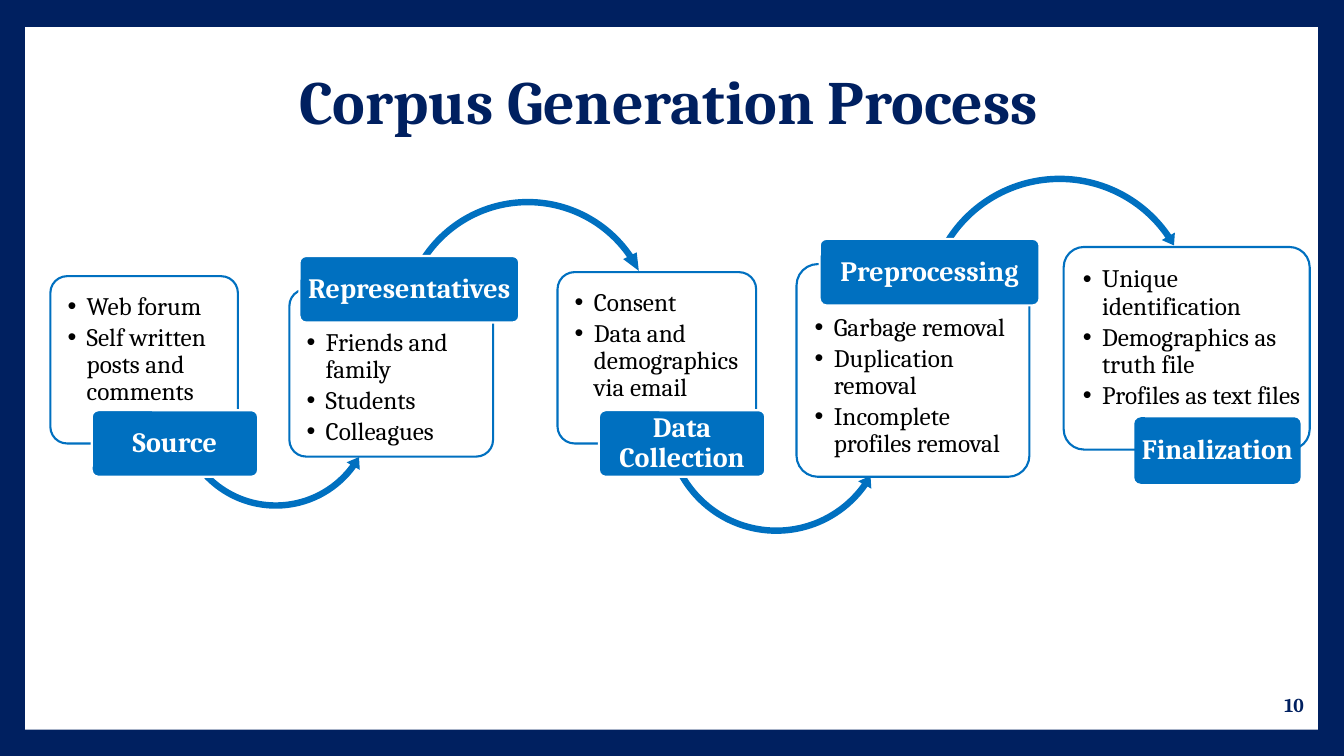
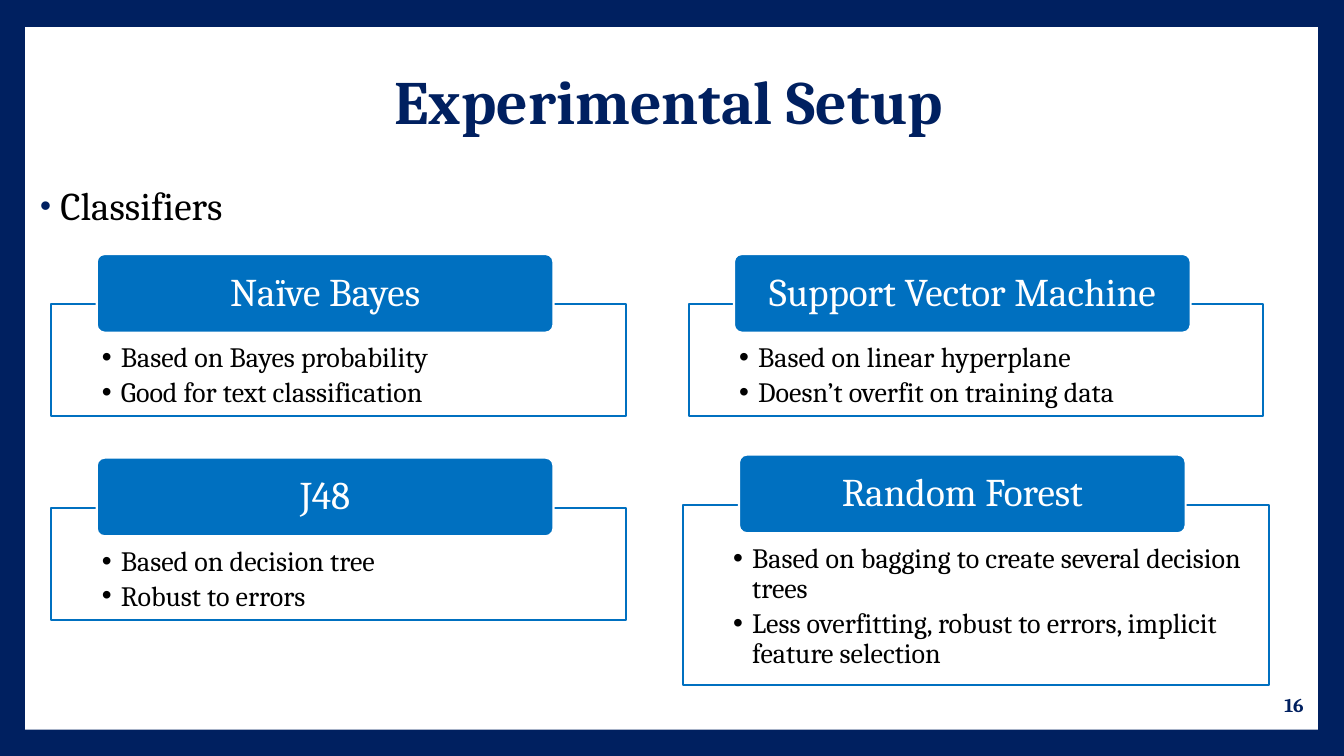
from dataclasses import dataclass

from lxml.etree import SubElement
from pptx import Presentation
from pptx.dml.color import RGBColor
from pptx.enum.shapes import MSO_SHAPE
from pptx.enum.text import MSO_ANCHOR, PP_ALIGN
from pptx.oxml.ns import qn
from pptx.util import Inches, Pt


@dataclass(frozen=True)
class Theme:
    navy: RGBColor = RGBColor(0x00, 0x20, 0x60)
    blue: RGBColor = RGBColor(0x00, 0x70, 0xC0)
    white: RGBColor = RGBColor(0xFF, 0xFF, 0xFF)
    black: RGBColor = RGBColor(0x00, 0x00, 0x00)
    font: str = "Cambria"
    title_size: float = 44
    heading_size: float = 28
    label_size: float = 20
    step_size: float = 18
    number_size: float = 14
    outline: float = 1.5
    arrow_width: float = 4.6
    arrow_head: float = 5.4
    corner: float = 0.1
    line_spacing: float = 0.9


class SlideBuilder:
    def __init__(self, deck, theme):
        self.deck = deck
        self.theme = theme
        self.page = None

    def start(self, title, number):
        theme = self.theme
        self.page = self.deck.slides.add_slide(self.deck.slide_layouts[6])
        background = self.page.background.fill
        background.solid()
        background.fore_color.rgb = theme.navy
        self.shape(MSO_SHAPE.RECTANGLE, (0.25, 0.27, 12.82, 6.97), theme.white)
        self.text((0.25, 0.4, 12.77, 1.28), title, theme.title_size, PP_ALIGN.CENTER)
        self.text((11.16, 6.81, 1.87, 0.4), number, theme.number_size, PP_ALIGN.RIGHT)

    def shape(self, kind, place, fill, line=None):
        box = self.page.shapes.add_shape(kind, *map(Inches, place))
        box.shadow.inherit = False
        box.fill.solid()
        box.fill.fore_color.rgb = fill
        if line is None:
            box.line.fill.background()
        else:
            box.line.color.rgb = line
            box.line.width = Pt(self.theme.outline)
        return box

    def set_text(self, box, lines, size, color, align=PP_ALIGN.LEFT, bold=False,
                 anchor=MSO_ANCHOR.MIDDLE, insets=(0.1, 0.05, 0.1, 0.05), bullet=None):
        frame = box.text_frame
        frame.word_wrap = True
        frame.vertical_anchor = anchor
        (frame.margin_left, frame.margin_top,
         frame.margin_right, frame.margin_bottom) = map(Inches, insets)
        frame.text = "\n".join(lines)
        for para in frame.paragraphs:
            if bullet is not None:
                self.bullet(para, **bullet)
                para.space_after = Pt(0.15 * size)
            para.alignment = align
            para.line_spacing = self.theme.line_spacing
            for span in para.runs:
                span.font.name = self.theme.font
                span.font.size = Pt(size)
                span.font.bold = bold
                span.font.color.rgb = color

    def bullet(self, para, indent=0.19, hanging=0.19, color=None, percent=100):
        properties = para._p.get_or_add_pPr()
        properties.set("marL", str(Inches(indent)))
        properties.set("indent", str(-Inches(hanging)))
        tint = SubElement(properties, qn("a:buClr"))
        SubElement(tint, qn("a:srgbClr"), val=str(color or self.theme.black))
        SubElement(properties, qn("a:buSzPct"), val=str(percent * 1000))
        SubElement(properties, qn("a:buFont"), typeface="Arial")
        SubElement(properties, qn("a:buChar"), char="•")

    def text(self, place, words, size, align):
        box = self.page.shapes.add_textbox(*map(Inches, place))
        self.set_text(box, [words], size, self.theme.navy, align, bold=True)

    def topic(self, place, words):
        box = self.page.shapes.add_textbox(*map(Inches, place))
        self.set_text(box, [words], self.theme.heading_size, self.theme.black,
                      anchor=MSO_ANCHOR.TOP,
                      bullet=dict(indent=0.25, hanging=0.2,
                                  color=self.theme.navy, percent=80))

    def panel(self, place, lines, size, insets, rounded=False):
        kind = MSO_SHAPE.ROUNDED_RECTANGLE if rounded else MSO_SHAPE.RECTANGLE
        box = self.shape(kind, place, self.theme.white, self.theme.blue)
        if rounded:
            insets = self.round_corners(box, place, insets)
        self.set_text(box, lines, size, self.theme.black, anchor=MSO_ANCHOR.TOP,
                      insets=insets, bullet=dict())

    def tag(self, place, words, size, insets, bold=False, outlined=True):
        line = self.theme.white if outlined else None
        box = self.shape(MSO_SHAPE.ROUNDED_RECTANGLE, place, self.theme.blue, line)
        insets = self.round_corners(box, place, insets)
        self.set_text(box, [words], size, self.theme.white, PP_ALIGN.CENTER, bold,
                      insets=insets)

    def round_corners(self, box, place, insets):
        box.adjustments[0] = self.theme.corner
        built_in = 0.29 * self.theme.corner * min(place[2:])
        return [max(inset - built_in, 0) for inset in insets]

    def arc(self, left, top, size, kind, head_angle, end, start):
        arrow = self.shape(kind, (left, top, size, size), self.theme.blue)
        width = Pt(self.theme.arrow_width) / Inches(size)
        head = Pt(self.theme.arrow_head) / Inches(size)
        for index, value in enumerate((width, head_angle, end, start, head)):
            arrow.adjustments[index] = value


UNDER = MSO_SHAPE.LEFT_CIRCULAR_ARROW
OVER = MSO_SHAPE.CIRCULAR_ARROW

STEPS = [
    ("Source", (0.91, 4.07, 1.65, 0.66), (0.5, 2.74, 1.86, 1.66),
     (0.17, 0.17, 0.17, 0.5),
     ["Web forum", "Self written posts and comments"],
     (1.71, 3.04, 2.05, UNDER, 3.86, 21.62, 90.25)),
    ("Representatives", (2.97, 2.54, 2.18, 0.66), (2.87, 2.87, 2.02, 1.66),
     (0.17, 0.4, 0.17, 0.17),
     ["Friends and family", "Students", "Colleagues"],
     (3.93, 1.93, 2.61, OVER, 4.87, 195.27, 125.76)),
    ("Data Collection", (5.94, 4.07, 1.65, 0.66), (5.53, 2.7, 1.97, 1.7),
     (0.17, 0.17, 0.1, 0.5),
     ["Consent", "Data and demographics via email"],
     (6.55, 3.04, 2.3, UNDER, 3.4, 21.19, 90.29)),
    ("Preprocessing", (8.13, 2.37, 2.18, 0.66), (7.9, 2.62, 2.31, 2.11),
     (0.18, 0.5, 0, 0.18),
     ["Garbage removal", "Duplication removal", "Incomplete profiles removal"],
     (9.13, 1.7, 2.76, OVER, 2.81, 195.43, 125.75)),
    ("Finalization", (11.25, 4.14, 1.65, 0.66), (10.55, 2.45, 2.44, 2.01),
     (0.19, 0.19, 0, 0.7),
     ["Unique identification", "Demographics as truth file", "Profiles as text files"],
     None),
]

CLASSIFIERS = [
    ("Naïve Bayes", (0.51, 3.02, 5.7, 1.11), 0.45, 4.53, 0.4,
     ["Based on Bayes probability", "Good for text classification"]),
    ("Support Vector Machine", (6.83, 3.02, 5.7, 1.11), 0.45, 4.53, 0.4,
     ["Based on linear hyperplane", "Doesn’t overfit on training data"]),
    ("J48", (0.51, 5.04, 5.7, 1.11), 0.45, 4.53, 0.4,
     ["Based on decision tree", "Robust to errors"]),
    ("Random Forest", (6.77, 5.01, 5.82, 1.79), 0.56, 4.43, 0,
     ["Based on bagging to create several decision trees",
      "Less overfitting, robust to errors, implicit feature selection"]),
]


def add_process(builder):
    theme = builder.theme
    builder.start("Corpus Generation Process", "10")
    for name, tag_place, panel_place, insets, lines, arrow in STEPS:
        builder.panel(panel_place, lines, theme.step_size, insets, rounded=True)
        if arrow:
            builder.arc(*arrow)
        builder.tag(tag_place, name, theme.label_size, (0.06, 0.04, 0.06, 0.04),
                    bold=True, outlined=arrow is not None)


def add_setup(builder):
    theme = builder.theme
    builder.start("Experimental Setup", "16")
    builder.topic((0.25, 1.8, 12.77, 4.86), "Classifiers")
    for name, place, tag_shift, tag_width, right_inset, lines in CLASSIFIERS:
        left, top = place[:2]
        builder.panel(place, lines, theme.label_size, (0.5, 0.39, right_inset, 0.14))
        builder.tag((left + tag_shift, top - 0.5, tag_width, 0.78), name,
                    theme.heading_size, (0.26, 0.03, 0.26, 0.03))


def main():
    deck = Presentation()
    deck.slide_width = Inches(13.33)
    deck.slide_height = Inches(7.5)
    builder = SlideBuilder(deck, Theme())
    add_process(builder)
    add_setup(builder)
    deck.save("out.pptx")


if __name__ == "__main__":
    main()
